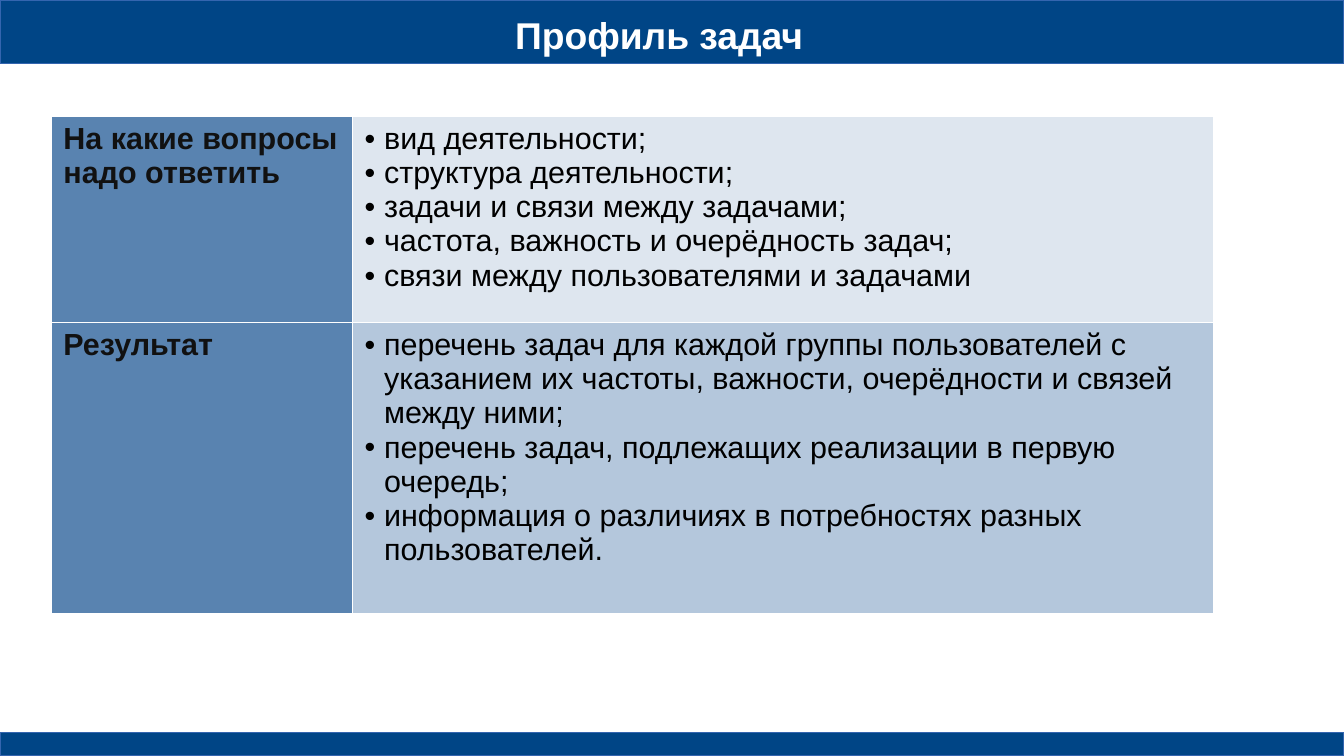
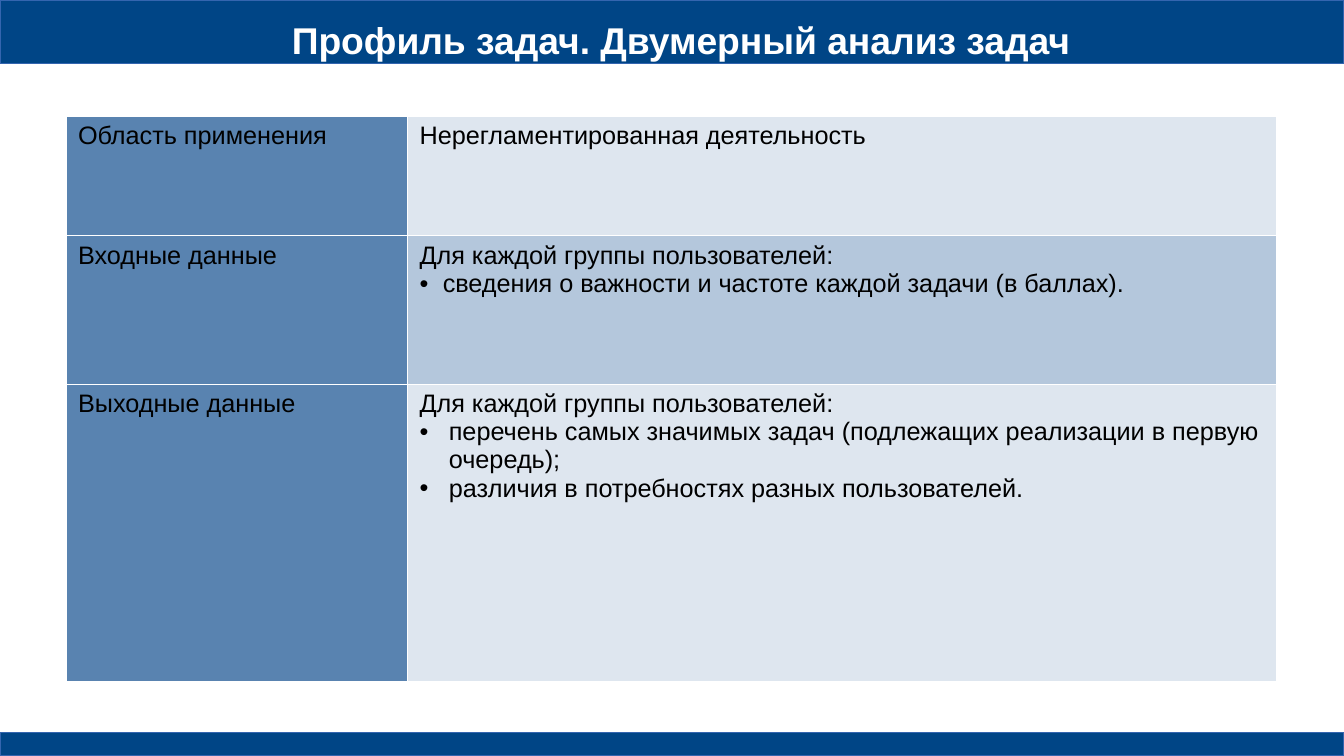
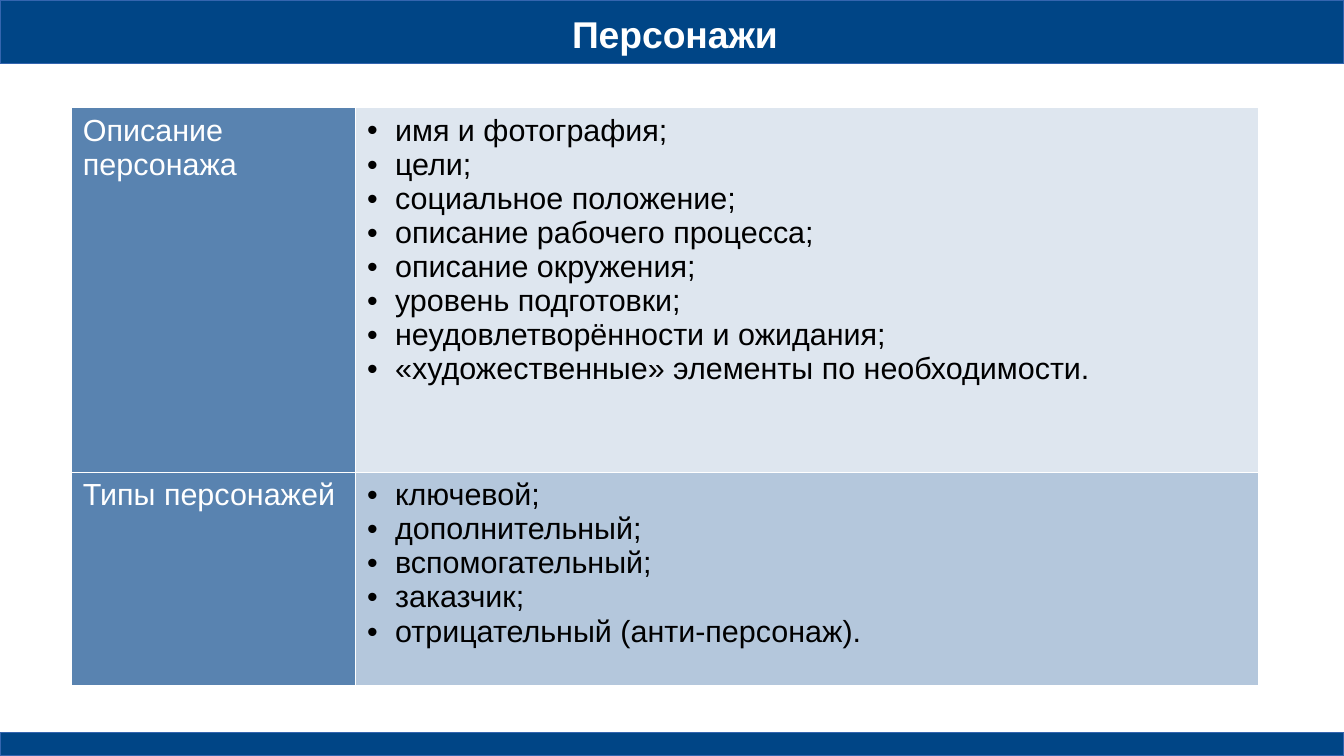
"""Build three slides on task profiles and personas, each a titled two-column table."""
from lxml.etree import SubElement
from pptx import Presentation
from pptx.dml.color import RGBColor as RGB
from pptx.enum.shapes import MSO_SHAPE as Shape
from pptx.enum.text import MSO_ANCHOR as Anchor, PP_ALIGN as Align
from pptx.oxml import parse_xml
from pptx.oxml.ns import nsdecls, qn
from pptx.util import Inches, Pt

THEME = {
    "font": "Arial",
    "band": RGB.from_string("004586"),
    "band_line": RGB.from_string("3465AF"),
    "label_fill": RGB.from_string("5983B0"),
    "row_fills": [RGB.from_string("DEE6EF"), RGB.from_string("B4C7DC")],
    "white": RGB.from_string("FFFFFF"),
    "black": RGB.from_string("000000"),
    "soft_black": RGB.from_string("111111"),
    "title_size": Pt(22),
    "large": Pt(18),
    "small": Pt(14.9),
}
SLIDE_WIDTH, SLIDE_HEIGHT = 11.02, 6.2
BANDS = [(0, 0.52), (6.01, 0.19)]
BULLET = "• "

PAGES = [
    {
        "title": "Профиль задач", "title_at": (0.3, 0.1),
        "table_at": (0.42, 0.95), "columns": (2.47, 7.06),
        "size": "large", "label_color": "soft_black", "label_bold": True,
        "rows": [
            (1.69, 0.16, ["На какие вопросы надо ответить"], [
                "• вид деятельности;",
                "• структура деятельности;",
                "• задачи и связи между задачами;",
                "• частота, важность и очерёдность задач;",
                "• связи между пользователями и задачами",
            ]),
            (2.39, 0.16, ["Результат"], [
                "• перечень задач для каждой группы пользователей с указанием "
                "их частоты, важности, очерёдности и связей между ними;",
                "• перечень задач, подлежащих реализации в первую очередь;",
                "• информация о различиях в потребностях разных пользователей.",
            ]),
        ],
    },
    {
        "title": "Профиль задач. Двумерный анализ задач", "title_at": (0.48, 0.14),
        "table_at": (0.54, 0.95), "columns": (2.8, 7.12),
        "size": "small", "label_color": "black", "label_bold": False,
        "rows": [
            (0.98, 0, ["Область применения"], ["Нерегламентированная деятельность"]),
            (1.22, 0.19, ["Входные данные"], [
                "Для каждой группы пользователей:",
                "• сведения о важности и частоте каждой задачи (в баллах).",
            ]),
            (2.44, 0.24, ["Выходные данные"], [
                "Для каждой группы пользователей:",
                "• перечень самых значимых задач (подлежащих реализации "
                "в первую очередь);",
                "• различия в потребностях разных пользователей.",
            ]),
        ],
    },
    {
        "title": "Персонажи", "title_at": (0.43, 0.09),
        "table_at": (0.58, 0.88), "columns": (2.33, 7.41),
        "size": "large", "label_color": "white", "label_bold": False,
        "rows": [
            (2.99, 0.23, ["Описание", "персонажа"], [
                "• имя и фотография;",
                "• цели;",
                "• социальное положение;",
                "• описание рабочего процесса;",
                "• описание окружения;",
                "• уровень подготовки;",
                "• неудовлетворённости и ожидания;",
                "• «художественные» элементы по необходимости.",
            ]),
            (1.75, 0.23, ["Типы персонажей"], [
                "• ключевой;",
                "• дополнительный;",
                "• вспомогательный;",
                "• заказчик;",
                "• отрицательный (анти-персонаж).",
            ]),
        ],
    },
]


def write(frame, lines, color, style, hang=0):
    """Fill a text frame, turning lines marked with a bullet into list items."""
    for number, line in enumerate(lines):
        paragraph = frame.add_paragraph() if number else frame.paragraphs[0]
        if line.startswith(BULLET):
            props = paragraph._p.get_or_add_pPr()
            props.set("marL", str(Inches(hang)))
            props.set("indent", str(-Inches(hang)))
            SubElement(props, qn("a:buFont")).set("typeface", THEME["font"])
            SubElement(props, qn("a:buChar")).set("char", BULLET.strip())
        run = paragraph.add_run()
        run.text = line.removeprefix(BULLET)
        run.font.color.rgb = color
        for name, value in {"name": THEME["font"], **style}.items():
            setattr(run.font, name, value)


def paint(cell, color):
    """Fill a cell and give it hairline white borders."""
    cell.fill.solid()
    cell.fill.fore_color.rgb = color
    for place, side in enumerate("LRTB"):
        cell._tc.get_or_add_tcPr().insert(place, parse_xml(
            f'<a:ln{side} {nsdecls("a")} w="{Pt(0.06)}"><a:solidFill>'
            f'<a:srgbClr val="{THEME["white"]}"/></a:solidFill></a:ln{side}>'))


deck = Presentation()
deck.slide_width, deck.slide_height = Inches(SLIDE_WIDTH), Inches(SLIDE_HEIGHT)

for page in PAGES:
    slide = deck.slides.add_slide(deck.slide_layouts[6])

    for top, height in BANDS:
        band = slide.shapes.add_shape(
            Shape.RECTANGLE, 0, Inches(top), Inches(SLIDE_WIDTH), Inches(height))
        band.shadow.inherit = False
        band.fill.solid()
        band.fill.fore_color.rgb = THEME["band"]
        band.line.color.rgb = THEME["band_line"]
        band.line.width = Pt(0)

    left, top = map(Inches, page["title_at"])
    title = slide.shapes.add_textbox(left, top, Inches(10.21), Inches(0.37)).text_frame
    for name, value in {"word_wrap": True, "vertical_anchor": Anchor.MIDDLE,
                        "margin_left": 0, "margin_right": 0,
                        "margin_top": 0, "margin_bottom": 0}.items():
        setattr(title, name, value)
    write(title, [page["title"]], THEME["white"],
          {"size": THEME["title_size"], "bold": True})
    title.paragraphs[0].alignment = Align.CENTER

    left, top = map(Inches, page["table_at"])
    profile = slide.shapes.add_table(
        len(page["rows"]), 2, left, top, Inches(sum(page["columns"])),
        Inches(sum(row[0] for row in page["rows"]))).table
    profile.first_row = profile.horz_banding = False
    for column, width in zip(profile.columns, page["columns"]):
        column.width = Inches(width)

    size = THEME[page["size"]]
    for number, (height, hang, label, details) in enumerate(page["rows"]):
        profile.rows[number].height = Inches(height)
        label_cell, detail_cell = profile.rows[number].cells
        paint(label_cell, THEME["label_fill"])
        paint(detail_cell, THEME["row_fills"][number % 2])
        write(label_cell.text_frame, label, THEME[page["label_color"]],
              {"size": size, "bold": page["label_bold"]})
        write(detail_cell.text_frame, details, THEME["black"],
              {"size": size, "bold": False}, hang)

deck.save("out.pptx")
